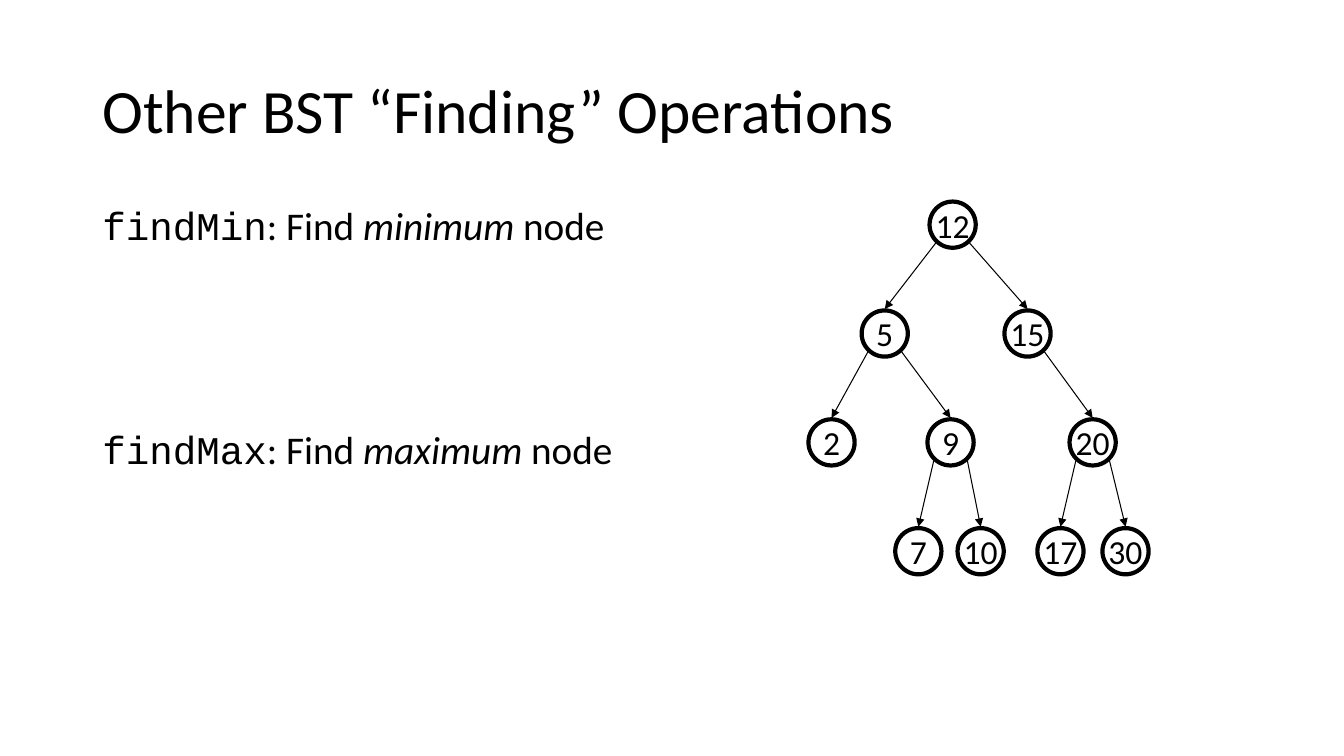
"""Build a slide on findMin and findMax beside a binary search tree."""
import pptx
import pptx.util
import pptx.dml.color
import pptx.enum.shapes
import pptx.enum.text
import pptx.oxml
import pptx.oxml.ns

Pt = pptx.util.Pt
BLACK = "000000"
BODY_FONT = "Calibri"
CODE_FONT = "Courier New"

TITLE = "Other BST “Finding” Operations"
OPERATIONS = [("findMin", "minimum", 10), ("findMax", "maximum", 130)]

NODES = {
    "12": (680.5, 0),
    "5": (632, 1), "15": (734, 1),
    "2": (594, 2), "9": (679, 2), "20": (780.5, 2),
    "7": (656, 3), "10": (700.5, 3), "17": (757.5, 3), "30": (804, 3),
}
EDGES = [
    ("12", "5"), ("12", "15"), ("5", "2"), ("5", "9"), ("15", "20"),
    ("9", "7"), ("9", "10"), ("20", "17"), ("20", "30"),
]
ROOT_Y = 160.5
LEVEL_GAP = 77.75
DIAMETER = 33
EDGE_OFFSET_X = 12
EDGE_OFFSET_Y = 13


def color(value):
    return pptx.dml.color.RGBColor.from_string(value)


def style_run(run, size, font=BODY_FONT, italic=False):
    run.font.size = Pt(size)
    run.font.name = font
    run.font.italic = italic
    run.font.color.rgb = color(BLACK)


def place(shape, left, top, width, height):
    shape.left, shape.top = Pt(left), Pt(top)
    shape.width, shape.height = Pt(width), Pt(height)


def append_xml(parent, tag, **attributes):
    element = pptx.oxml.parse_xml(f"<a:{tag} {pptx.oxml.ns.nsdecls('a')}/>")
    for name, value in attributes.items():
        element.set(name, value)
    parent.append(element)


def node_center(label):
    x, level = NODES[label]
    return x, ROOT_Y + level * LEVEL_GAP


def add_title(slide):
    title = slide.shapes.title
    place(title, 66, 29, 828, 104)
    frame = title.text_frame
    frame.text = TITLE
    frame.auto_size = pptx.enum.text.MSO_AUTO_SIZE.NONE
    frame.vertical_anchor = pptx.enum.text.MSO_ANCHOR.MIDDLE
    paragraph = frame.paragraphs[0]
    paragraph.alignment = pptx.enum.text.PP_ALIGN.LEFT
    paragraph.line_spacing = 0.9
    style_run(paragraph.runs[0], 44)


def add_operations(slide):
    body = slide.placeholders[1]
    place(body, 66, 144, 828, 343)
    frame = body.text_frame
    frame.auto_size = pptx.enum.text.MSO_AUTO_SIZE.NONE
    for index, (name, target, space) in enumerate(OPERATIONS):
        paragraph = frame.add_paragraph() if index else frame.paragraphs[0]
        paragraph.line_spacing = 0.9
        paragraph.space_before = Pt(space)
        properties = paragraph._p.get_or_add_pPr()
        properties.set("marL", "0")
        properties.set("indent", "0")
        append_xml(properties, "buNone")
        parts = [(name, CODE_FONT, False), (": Find ", BODY_FONT, False),
                 (target, BODY_FONT, True), (" node", BODY_FONT, False)]
        for text, font, italic in parts:
            run = paragraph.add_run()
            run.text = text
            style_run(run, 28, font, italic)


def add_edge(slide, parent, child):
    parent_x, parent_y = node_center(parent)
    child_x, child_y = node_center(child)
    side = 1 if child_x > parent_x else -1
    edge = slide.shapes.add_connector(
        pptx.enum.shapes.MSO_CONNECTOR.STRAIGHT,
        Pt(parent_x + side * EDGE_OFFSET_X), Pt(parent_y + EDGE_OFFSET_Y),
        Pt(child_x), Pt(child_y - DIAMETER / 2 - 1))
    edge.line.color.rgb = color(BLACK)
    edge.line.width = Pt(0.75)
    append_xml(edge.line._get_or_add_ln(), "tailEnd", type="triangle")
    append_xml(edge._element.spPr, "effectLst")


def add_node(slide, label):
    x, y = node_center(label)
    node = slide.shapes.add_shape(
        pptx.enum.shapes.MSO_SHAPE.OVAL, Pt(x - DIAMETER / 2),
        Pt(y - DIAMETER / 2), Pt(DIAMETER), Pt(DIAMETER))
    node.shadow.inherit = False
    node.fill.background()
    node.line.color.rgb = color(BLACK)
    node.line.width = Pt(3)
    frame = node.text_frame
    frame.text = label
    frame.word_wrap = False
    frame.vertical_anchor = pptx.enum.text.MSO_ANCHOR.MIDDLE
    paragraph = frame.paragraphs[0]
    paragraph.alignment = pptx.enum.text.PP_ALIGN.CENTER
    style_run(paragraph.runs[0], 24)


def main():
    presentation = pptx.Presentation()
    presentation.slide_width = Pt(960)
    presentation.slide_height = Pt(540)
    slide = presentation.slides.add_slide(presentation.slide_layouts[1])
    add_title(slide)
    add_operations(slide)
    for label in NODES:
        add_node(slide, label)
    for parent, child in EDGES:
        add_edge(slide, parent, child)
    presentation.save("out.pptx")


if __name__ == "__main__":
    main()
